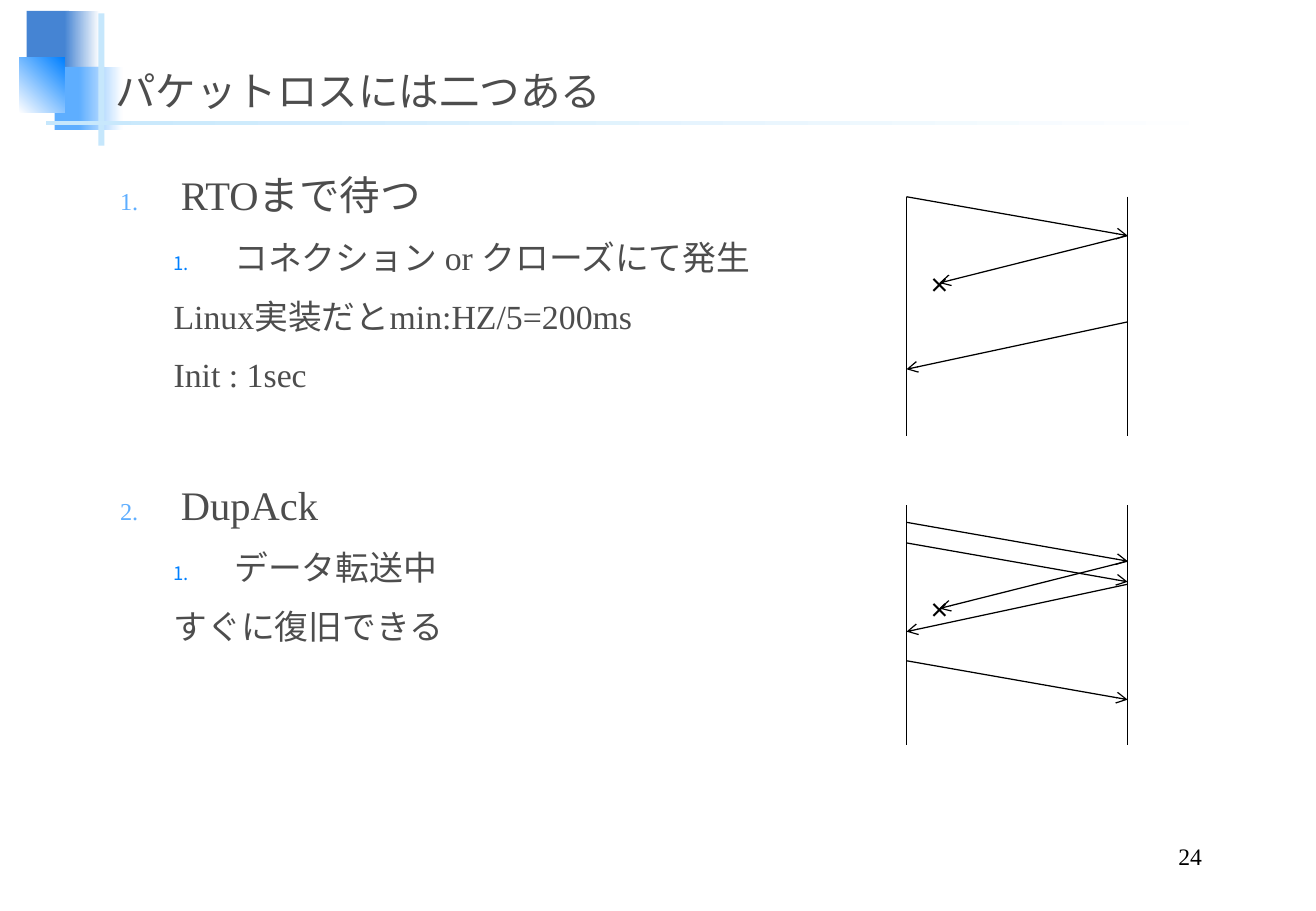
"""Build a slide on the two ways TCP recovers from packet loss."""
from lxml import etree
from pptx import Presentation
from pptx.dml.color import RGBColor
from pptx.enum.shapes import MSO_CONNECTOR, MSO_SHAPE
from pptx.enum.text import MSO_ANCHOR, PP_ALIGN
from pptx.oxml.ns import qn
from pptx.util import Inches, Pt

LINE = MSO_CONNECTOR.STRAIGHT
RECT = MSO_SHAPE.RECTANGLE
TOP, BOTTOM = MSO_ANCHOR.TOP, MSO_ANCHOR.BOTTOM
LEFT, RIGHT = PP_ALIGN.LEFT, PP_ALIGN.RIGHT

THEME = {
    "serif": "Times New Roman", "sans": "Arial",
    "ink": "4D4D4D", "black": "000000", "white": "FFFFFF",
    "navy": "4584D3", "sky": "5EAEFF", "blue": "0080FF", "pale": "C6E7FC",
    "head": 24, "sub": 20, "mark": 18, "page": 14, "rule": 0.75,
}

TITLE = "パケットロスには二つある"
PAGE = "24"
BODY = [
    ("head", "RTOまで待つ"),
    ("sub", "コネクション or クローズにて発生"),
    ("plain", "Linux実装だとmin:HZ/5=200ms"),
    ("plain", "Init : 1sec"),
    ("head", "DupAck"),
    ("sub", "データ転送中"),
    ("plain", "すぐに復旧できる"),
]
STYLES = {
    "head": {"level": 0, "left": 0.5, "hang": 0.5, "size": "head",
             "bullet": ("sky", 60, "serif")},
    "sub": {"level": 1, "left": 0.94, "hang": 0.5, "size": "sub",
            "bullet": ("blue", 55, "sans")},
    "plain": {"level": 1, "left": 0.44, "hang": 0, "size": "sub",
              "bullet": None},
}
GAP, BREAK = 6, 45

DECOR = [
    ((0.22, 0.09, 0.35, 0.52), ("navy",), 0),
    ((0.53, 0.09, 0.29, 0.52), ("navy", "white"), 0),
    ((0.45, 0.55, 0.41, 0.52), ("sky",), 0),
    ((0.65, 0.55, 0.36, 0.52), ("sky", "white"), 0),
    ((0.16, 0.47, 0.37, 0.46), ("white", "blue"), 45),
    ((0.81, 0.11, 0.05, 1.09), ("pale",), 0),
    ((0.38, 1, 9.75, 0.03), ("pale", "white"), 0),
]

HOST, PEER, LOST = 7.46, 9.28, 7.73
SPAN = 1.97
FLOWS = [
    (1.62, [("data", 0), ("lost", 0.32), ("ack", 1.03)]),
    (4.16, [("data", 0.14), ("data", 0.31), ("lost", 0.46),
            ("ack", 0.65), ("data", 1.28)]),
]
HOPS = {"data": (HOST, PEER, 0.32), "lost": (PEER, LOST, 0.39),
        "ack": (PEER, HOST, 0.39)}


def color(name):
    return RGBColor.from_string(THEME[name])


def set_font(para, face, size, ink):
    para.font.name = THEME[face]
    para.font.size = Pt(THEME[size])
    para.font.color.rgb = color(ink)


def add_box(slide, box, anchor=TOP, wrap=True):
    frame = slide.shapes.add_textbox(*map(Inches, box)).text_frame
    frame.word_wrap = wrap
    frame.vertical_anchor = anchor
    return frame


def add_label(slide, text, box, font, anchor=TOP, align=LEFT, wrap=True):
    para = add_box(slide, box, anchor, wrap).paragraphs[0]
    para.text = text
    para.alignment = align
    set_font(para, *font)


def add_decor(slide, box, tints, angle):
    shape = slide.shapes.add_shape(RECT, *map(Inches, box))
    shape.shadow.inherit = False
    shape.line.fill.background()
    if len(tints) == 1:
        shape.fill.solid()
        shape.fill.fore_color.rgb = color(tints[0])
        return
    shape.fill.gradient()
    shape.fill.gradient_angle = angle
    for stop, tint in zip(shape.fill.gradient_stops, tints):
        stop.color.rgb = color(tint)


def add_bullet(props, tint, scale, face):
    paint = etree.SubElement(props, qn("a:buClr"))
    etree.SubElement(paint, qn("a:srgbClr"), val=THEME[tint])
    etree.SubElement(props, qn("a:buSzPct"), val=str(scale * 1000))
    etree.SubElement(props, qn("a:buFont"), typeface=THEME[face])
    etree.SubElement(props, qn("a:buAutoNum"), type="arabicPeriod")


def add_body(slide):
    frame = add_box(slide, (0.89, 1.27, 6.4, 5.32))
    for index, (kind, text) in enumerate(BODY):
        style = STYLES[kind]
        para = frame.add_paragraph() if index else frame.paragraphs[0]
        para.text = text
        para.level = style["level"]
        para.line_spacing = 1.2
        if index:
            para.space_before = Pt(BREAK if kind == "head" else GAP)
        props = para._p.get_or_add_pPr()
        props.set("marL", str(Inches(style["left"])))
        props.set("indent", str(-Inches(style["hang"])))
        if style["bullet"]:
            add_bullet(props, *style["bullet"])
        set_font(para, "serif", style["size"], "ink")


def add_line(slide, start, end, arrow=False):
    line = slide.shapes.add_connector(LINE, *map(Inches, start + end))
    line.line.color.rgb = color("black")
    line.line.width = Pt(THEME["rule"])
    if arrow:
        stroke = line.line._get_or_add_ln()
        etree.SubElement(stroke, qn("a:tailEnd"), type="arrow")
    etree.SubElement(line._element.spPr, qn("a:effectLst"))


def add_flow(slide, top, hops):
    for x in (HOST, PEER):
        add_line(slide, (x, top), (x, top + SPAN))
    for kind, drop in hops:
        start, end, fall = HOPS[kind]
        y = top + drop
        add_line(slide, (start, y), (end, y + fall), arrow=True)
        if kind == "lost":
            add_label(slide, "×", (LOST - 0.17, y + 0.19, 0.35, 0.4),
                      ("sans", "mark", "black"), wrap=False)


def main():
    deck = Presentation()
    deck.slide_width, deck.slide_height = Inches(10.83), Inches(7.5)
    slide = deck.slides.add_slide(deck.slide_layouts[6])
    for part in DECOR:
        add_decor(slide, *part)
    add_label(slide, TITLE, (0.85, 0.36, 9.29, 0.63),
              ("serif", "head", "ink"), BOTTOM)
    add_body(slide)
    add_label(slide, PAGE, (7.73, 6.9, 2.26, 0.31),
              ("serif", "page", "black"), BOTTOM, RIGHT)
    for flow in FLOWS:
        add_flow(slide, *flow)
    deck.save("out.pptx")


if __name__ == "__main__":
    main()
